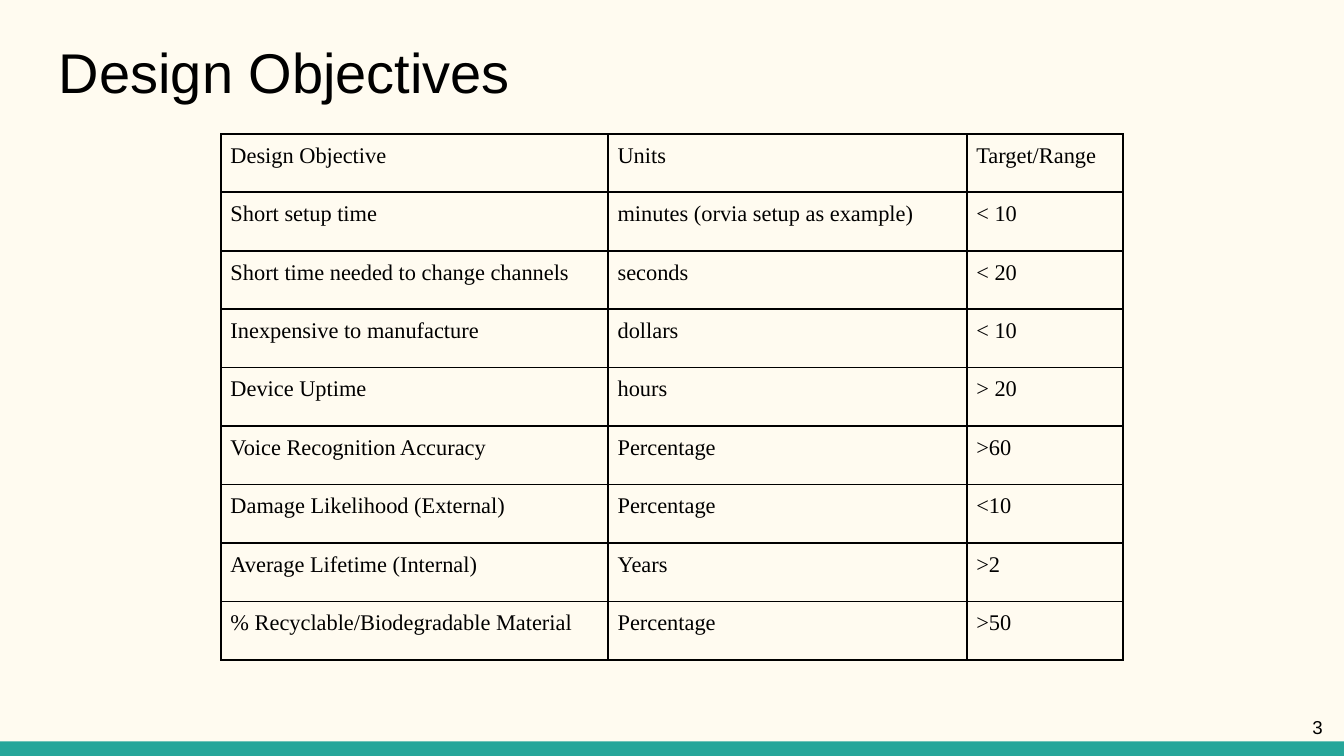
import pptx
import pptx.util
import pptx.dml.color
import pptx.enum.shapes
import pptx.enum.text
from lxml import etree

Pt = pptx.util.Pt
Align = pptx.enum.text.PP_ALIGN
Anchor = pptx.enum.text.MSO_ANCHOR
HUES = {"page": "FFFBF0", "bar": "26A69A", "ink": "000000"}
WIDE, HIGH = 720, 405
COLS = [207.4, 192.2, 83.5]
ROWS = [
    ("Design Objective", "Units", "Target/Range"),
    ("Short setup time", "minutes (orvia setup as example)", "< 10"),
    ("Short time needed to change channels", "seconds", "< 20"),
    ("Inexpensive to manufacture", "dollars", "< 10"),
    ("Device Uptime", "hours", "> 20"),
    ("Voice Recognition Accuracy", "Percentage", ">60"),
    ("Damage Likelihood (External)", "Percentage", "<10"),
    ("Average Lifetime (Internal)", "Years", ">2"),
    ("% Recyclable/Biodegradable Material", "Percentage", ">50"),
]


def hue(name):
    return pptx.dml.color.RGBColor.from_string(HUES[name])


def paint(fill, name):
    fill.solid()
    fill.fore_color.rgb = hue(name)


def write(frame, text, size=12, font="Arial", color="ink", align=Align.LEFT):
    frame.word_wrap = True
    para = frame.paragraphs[0]
    para.alignment = align
    run = para.add_run()
    run.text = text
    run.font.size = Pt(size)
    run.font.name = font
    run.font.color.rgb = hue(color)


def label(slide, box, text, anchor=Anchor.TOP, **style):
    frame = slide.shapes.add_textbox(*map(Pt, box)).text_frame
    frame.margin_left = frame.margin_right = Pt(7.2)
    frame.margin_top = frame.margin_bottom = Pt(7.2)
    frame.vertical_anchor = anchor
    write(frame, text, **style)


def border(cell):
    props = cell._tc.get_or_add_tcPr()
    space = "{http://schemas.openxmlformats.org/drawingml/2006/main}"
    for spot, side in enumerate(("lnL", "lnR", "lnT", "lnB")):
        line = etree.Element(space + side, w=str(Pt(1)))
        fill = etree.SubElement(line, space + "solidFill")
        etree.SubElement(fill, space + "srgbClr", val=HUES["ink"])
        props.insert(spot, line)


def goals(slide, box):
    table = slide.shapes.add_table(len(ROWS), len(COLS), *map(Pt, box)).table
    table.first_row = table.horz_banding = False
    for col, width in zip(table.columns, COLS):
        col.width = Pt(width)
    for row, texts in zip(table.rows, ROWS):
        row.height = Pt(box[3] / len(ROWS))
        for cell, text in zip(row.cells, texts):
            cell.margin_left = cell.margin_right = Pt(5)
            cell.margin_top = cell.margin_bottom = Pt(5)
            paint(cell.fill, "page")
            border(cell)
            write(cell.text_frame, text, font="Times New Roman")


def footer(slide, box):
    left, top, width, height = box
    kind = pptx.enum.shapes.MSO_SHAPE.RECTANGLE
    bar = slide.shapes.add_shape(
        kind, Pt(left), Pt(top + height - 7.8), Pt(width), Pt(7.8))
    bar.shadow.inherit = False
    paint(bar.fill, "bar")
    bar.line.fill.background()
    label(slide, (left + width - 47.5, top, 43.2, height), "3",
          anchor=Anchor.MIDDLE, size=10, align=Align.RIGHT)


def main():
    deck = pptx.Presentation()
    deck.slide_width, deck.slide_height = Pt(WIDE), Pt(HIGH)
    slide = deck.slides.add_slide(deck.slide_layouts[6])
    paint(slide.background.fill, "page")
    label(slide, (24.5, 13, 671, 48), "Design Objectives", size=30)
    goals(slide, (118.5, 71.7, sum(COLS), 282))
    footer(slide, (0, 374, WIDE, HIGH - 374))
    deck.save("out.pptx")


if __name__ == "__main__":
    main()
